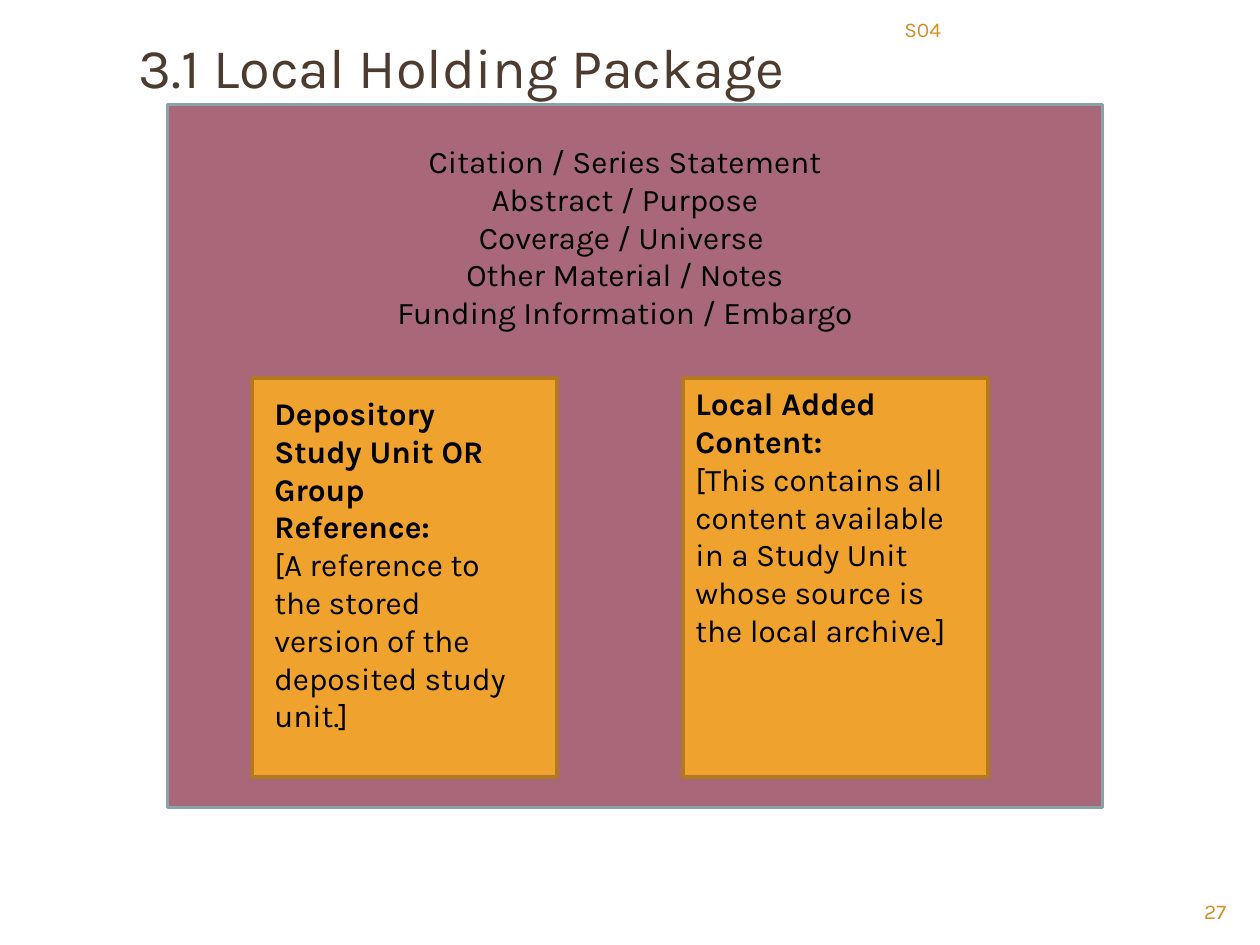
"""Build the Local Holding Package slide."""
from pptx import Presentation
from pptx.dml.color import RGBColor
from pptx.enum.shapes import MSO_SHAPE
from pptx.enum.text import MSO_ANCHOR, PP_ALIGN
from pptx.util import Cm, Pt

FONT = "Karla"
BLACK = RGBColor(0, 0, 0)
BROWN = RGBColor(0x4E, 0x3B, 0x30)
GOLD = RGBColor(0xD4, 0x8F, 0x29)
PLUM = RGBColor(0xA8, 0x68, 0x7A)
TEAL = RGBColor(0x89, 0xA4, 0xA7)
AMBER = RGBColor(0xF0, 0xA2, 0x2E)
RUST = RGBColor(0xB2, 0x78, 0x22)

TITLE = "3.1 Local Holding Package"
TOPICS = [
    "Citation / Series Statement",
    "Abstract / Purpose",
    "Coverage / Universe ",
    "Other Material / Notes",
    "Funding Information / Embargo",
]
CARDS = [
    (5.08, (5.28, 7.82, 5.51, 7.87),
     ["Depository Study Unit OR Group Reference:",
      "[A reference to the stored version of the deposited study unit.]"]),
    (13.77, (13.77, 7.62, 5.92, 5.64),
     ["Local Added Content:",
      "[This contains all content available in a Study Unit "
      "whose source is the local archive.]"]),
]
LABELS = [
    ("S04", (17.98, 0.2, 6.99, 0.81), PP_ALIGN.LEFT),
    ("27", (22.86, 17.98, 2.11, 0.69), PP_ALIGN.RIGHT),
]


def place(at):
    return [Cm(n) for n in at]


def add_box(slide, at, fill, line):
    box = slide.shapes.add_shape(MSO_SHAPE.RECTANGLE, *place(at))
    box.shadow.inherit = False
    box.fill.solid()
    box.fill.fore_color.rgb = fill
    box.line.color.rgb = line
    box.line.width = Pt(2)


def write(frame, lines, size, color, align=PP_ALIGN.LEFT, head=False):
    frame.word_wrap = True
    for i, text in enumerate(lines):
        para = frame.paragraphs[0] if i == 0 else frame.add_paragraph()
        para.text = text
        para.alignment = align
        font = para.font
        font.name, font.size = FONT, Pt(size)
        font.bold = head and i == 0
        font.color.rgb = color


def add_text(slide, at, *args, **opts):
    box = slide.shapes.add_textbox(*place(at))
    write(box.text_frame, *args, **opts)


def main():
    deck = Presentation()
    deck.slide_width, deck.slide_height = Cm(25.4), Cm(19.05)
    slide = deck.slides.add_slide(deck.slide_layouts[5])

    add_box(slide, (3.38, 2.11, 18.85, 14.17), PLUM, TEAL)
    title = slide.shapes.title
    title.left, title.top, title.width, title.height = place(
        (2.54, 0.43, 22.86, 1.8))
    title.text_frame.vertical_anchor = MSO_ANCHOR.MIDDLE
    write(title.text_frame, [TITLE], 32, BROWN)

    for text, at, align in LABELS:
        add_text(slide, at, [text], 12, GOLD, align)
    for left, at, lines in CARDS:
        add_box(slide, (left, 7.62, 6.15, 8.05), AMBER, RUST)
        add_text(slide, at, lines, 18, BLACK, head=True)
    add_text(slide, (4.88, 2.74, 15.44, 4.06), TOPICS, 18, BLACK,
             PP_ALIGN.CENTER)
    deck.save("out.pptx")


if __name__ == "__main__":
    main()
